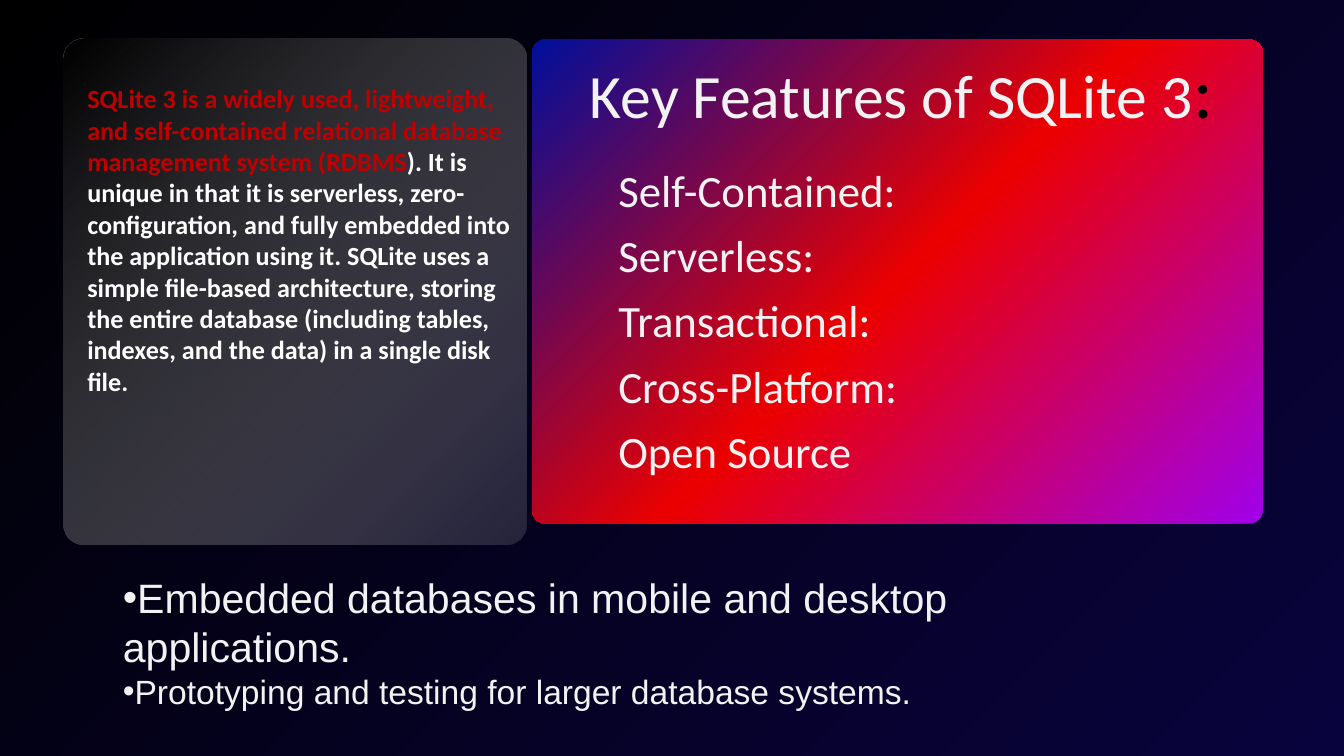
import pptx
import pptx.dml.color
import pptx.enum.shapes
import pptx.enum.text
import pptx.oxml
import pptx.oxml.ns
import pptx.util

Cm, Pt = pptx.util.Cm, pptx.util.Pt
RGBColor = pptx.dml.color.RGBColor
PP_ALIGN = pptx.enum.text.PP_ALIGN
MSO_ANCHOR = pptx.enum.text.MSO_ANCHOR
qn = pptx.oxml.ns.qn

BLACK = RGBColor(0x00, 0x00, 0x00)
NAVY = RGBColor(0x09, 0x03, 0x3D)
SILVER = RGBColor(0xDD, 0xDD, 0xDD)
BLUE = RGBColor(0x00, 0x0F, 0x9B)
RED = RGBColor(0xEB, 0x00, 0x00)
PURPLE = RGBColor(0xA0, 0x00, 0xEB)
DARK_RED = RGBColor(0xC0, 0x00, 0x00)
OFF_WHITE = RGBColor(0xF2, 0xF2, 0xF2)
WHITE = RGBColor(0xFF, 0xFF, 0xFF)

# Gradient stops: (position %, colour, opacity %)
BACKDROP = [(0, BLACK, 100), (100, NAVY, 100)]
GLASS = [(0, BLACK, 78), (100, SILVER, 15)]
VIVID = [(0, BLUE, 100), (50, RED, 100), (100, PURPLE, 100)]
LINEAR = '<a:lin ang="2700000" scaled="0"/>'
FROM_CORNER = '<a:path path="circle"><a:fillToRect r="100000" b="100000"/></a:path>'

# Cards: (left, top, width, height) in cm, corner ratio, stops, direction
CARDS = [
    ((2.41, 1.47, 17.5, 19.13), 0.045, GLASS, LINEAR),
    ((20.12, 1.5, 27.61, 18.29), 0.027, VIVID, FROM_CORNER),
]

# Each paragraph is a list of runs: (text, size, colour)
TITLE = [[("Key Features of SQLite 3", 66, OFF_WHITE), (":", 80, BLACK)]]
FEATURES = [[(name, 48, OFF_WHITE)] for name in (
    "Self-Contained:", "Serverless:", "Transactional:", "Cross-Platform:", "Open Source")]
INTRO = [[
    ("SQLite 3 is a widely used, lightweight, and self-contained relational "
     "database management system (RDBMS", 28, DARK_RED),
    ("). It is unique in that it is serverless, zero-configuration, and fully "
     "embedded into the application using it. SQLite uses a simple file-based "
     "architecture, storing the entire database (including tables, indexes, and "
     "the data) in a single disk file.", 28, WHITE),
]]
USES = [
    [("Embedded databases in mobile and desktop applications.", 44, OFF_WHITE)],
    [("Prototyping and testing for larger database systems.", 36, OFF_WHITE)],
]


def paint_gradient(props, stops, direction):
    """Swap the solid fill in a properties element for a gradient."""
    gs = "".join(
        f'<a:gs pos="{pos * 1000}"><a:srgbClr val="{color}">'
        f'<a:alpha val="{alpha * 1000}"/></a:srgbClr></a:gs>'
        for pos, color, alpha in stops)
    grad = pptx.oxml.parse_xml(
        f'<a:gradFill {pptx.oxml.ns.nsdecls("a")} rotWithShape="1">'
        f'<a:gsLst>{gs}</a:gsLst>{direction}</a:gradFill>')
    props.replace(props.find(qn("a:solidFill")), grad)


def set_bullet(p, char):
    pPr = p._p.get_or_add_pPr()
    pPr.set("marL", "0")
    pPr.set("indent", "0")
    if char:
        font = pPr.makeelement(qn("a:buFont"), {"typeface": "Arial"})
        pPr.append(font)
        pPr.append(pPr.makeelement(qn("a:buChar"), {"char": char}))
    else:
        pPr.append(pPr.makeelement(qn("a:buNone"), {}))


def write(sp, box, paragraphs, font="Calibri", bold=False, bullet=None, inset=None,
          anchor=MSO_ANCHOR.TOP, align=PP_ALIGN.LEFT, line=1.0, gap=0):
    """Place a text shape and fill it run by run; gap separates paragraphs."""
    sp.left, sp.top, sp.width, sp.height = map(Cm, box)
    tf = sp.text_frame
    tf.word_wrap = True
    tf.auto_size = pptx.enum.text.MSO_AUTO_SIZE.NONE
    tf.vertical_anchor = anchor
    if inset is not None:
        tf.margin_left = tf.margin_top = tf.margin_right = tf.margin_bottom = Cm(inset)
    for i, runs in enumerate(paragraphs):
        p = tf.add_paragraph() if i else tf.paragraphs[0]
        set_bullet(p, bullet)
        p.alignment = align
        p.line_spacing = line
        p.space_before = Pt(gap if i else 0)
        p.space_after = Pt(0)
        for text, size, color in runs:
            r = p.add_run()
            r.text = text
            r.font.name = font
            r.font.size = Pt(size)
            r.font.bold = bold
            r.font.color.rgb = color


def main():
    prs = pptx.Presentation()
    prs.slide_width, prs.slide_height = Cm(50.8), Cm(28.58)
    s = prs.slides.add_slide(prs.slide_layouts.get_by_name("Two Content"))
    s.background.fill.solid()
    s.background.fill.fore_color.rgb = BLACK
    paint_gradient(s._element.find(".//" + qn("p:bgPr")), BACKDROP, FROM_CORNER)

    for i, (box, corner, stops, direction) in enumerate(CARDS):
        card = s.shapes.add_shape(
            pptx.enum.shapes.MSO_SHAPE.ROUNDED_RECTANGLE, *map(Cm, box))
        card.adjustments[0] = corner
        card.shadow.inherit = False
        card.line.fill.background()
        card.fill.solid()
        card.fill.fore_color.rgb = BLACK
        paint_gradient(card._element.spPr, stops, direction)
        s.shapes._spTree.insert(2 + i, card._element)  # behind the placeholders

    title, features, uses = s.placeholders
    write(title, (22.3, 2.18, 24.05, 2.92), TITLE, inset=0, line=Pt(80.8))
    write(features, (23.37, 6.93, 22.96, 11.38), FEATURES, inset=0,
          align=PP_ALIGN.JUSTIFY, line=Pt(35), gap=35)
    write(uses, (4.39, 21.39, 40.11, 5.74), USES, font="Arial", bullet="•",
          anchor=MSO_ANCHOR.MIDDLE)
    intro = s.shapes.add_textbox(0, 0, 0, 0)
    write(intro, (3.05, 3, 16.64, 12.22), INTRO, bold=True)

    prs.save("out.pptx")


if __name__ == "__main__":
    main()
